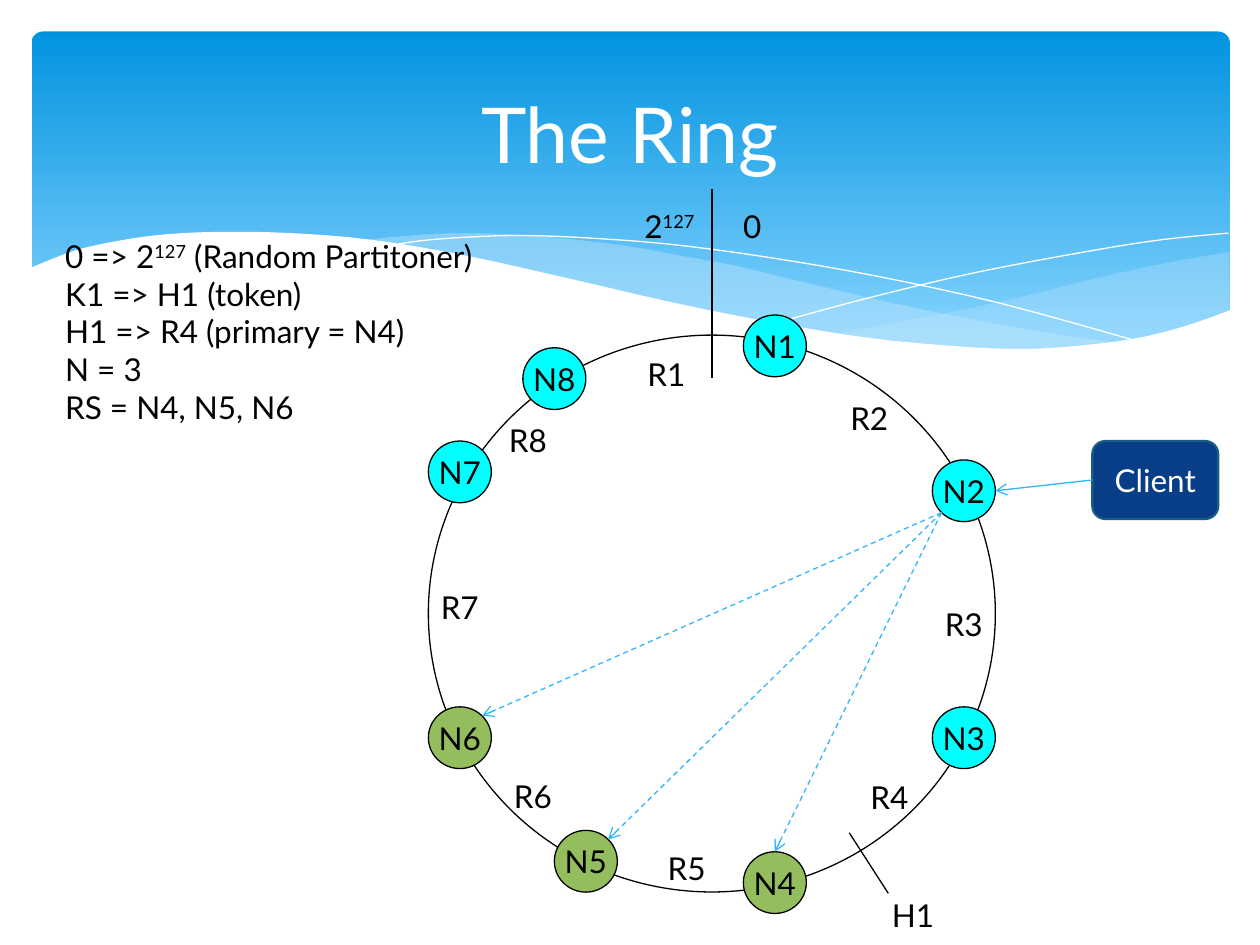
from math import cos, radians, sin

from lxml.etree import SubElement
from pptx import Presentation
from pptx.dml.color import RGBColor
from pptx.enum.dml import MSO_LINE
from pptx.enum.shapes import MSO_CONNECTOR, MSO_SHAPE
from pptx.enum.text import MSO_ANCHOR, PP_ALIGN
from pptx.oxml.ns import qn
from pptx.util import Pt

FONT = "Lato"
BLACK = RGBColor(0x00, 0x00, 0x00)
WHITE = RGBColor(0xFF, 0xFF, 0xFF)
BAND_TOP = RGBColor(0x02, 0x93, 0xE0)
BAND_END = RGBColor(0x83, 0xD3, 0xFE)
PALE = RGBColor(0xC6, 0xE7, 0xFC)
CYAN = RGBColor(0x00, 0xFF, 0xFF)
GREEN = RGBColor(0x94, 0xBD, 0x5E)
NAVY = RGBColor(0x07, 0x3E, 0x87)
NAVY_EDGE = RGBColor(0x19, 0x5F, 0x84)
SKY = RGBColor(0x31, 0xB6, 0xFD)

NODE_W, NODE_H = 36, 35.3
NODES = {
    "N1": (180, -11.5), "N2": (288, 71.3), "N3": (288, 212.4), "N4": (180, 295.2),
    "N5": (72, 283), "N6": (0, 212.4), "N7": (0, 60.5), "N8": (54, 7.2),
}
REPLICAS = {"N4": 45 + 45, "N5": 45, "N6": 45}
LABELS = {
    "R1": (118.1, 7.9), "R2": (234, 33.1), "R3": (288, 150.5), "R4": (245.5, 249.8),
    "R5": (129.6, 290.2), "R6": (41.8, 249.1), "R7": (0, 141.1), "R8": (38.9, 45.4),
    "H1": (257.8, 316.8), "2^127": (116.4, -77), "0": (172.8, -77),
}

RIGHT_WAVE = [
    [(684.5, 126), (655.2, 131), (623.5, 137.5), (601.9, 142.6), (561.6, 152.6),
     (524.2, 160.6), (490.3, 167), (457.9, 172.8)],
    [(457.9, 172.8), (489.6, 177.1), (518.4, 180), (560.2, 182.2), (596.9, 180.7),
     (627.8, 176.4), (655.2, 170.6), (684.5, 159.8)],
]
MIDDLE_WAVE = [
    [(625, 178.6), (584.6, 172.8), (540, 164.9), (490.3, 154.8), (434.9, 141.8),
     (402.5, 133.9), (371.5, 128.2), (334.1, 121.7), (284.4, 116.6), (241.9, 115.2),
     (207.4, 117.4), (187.9, 119.5)],
    [(187.9, 119.5), (228.2, 125.3), (272.9, 133.9), (305.3, 141.8), (363.6, 154.8),
     (414.7, 165.6), (460.8, 173.5), (501.8, 179.3), (547.2, 182.2), (585.4, 182.2),
     (625, 178.6)],
]
FALLING_LINE = [
    [(204.5, 122.4), (223.2, 119.5), (251.3, 117.4), (281.5, 116.6), (319.7, 118.1),
     (365.8, 121.7), (419.8, 128.9), (482.4, 139.7), (554.4, 155.5), (635, 177.8)],
]
RISING_LINE = [
    [(423.4, 167), (482.4, 151.2), (540.7, 137.5), (605.5, 125.3), (647.3, 118.8),
     (684, 115.2)],
]
WHITE_WAVE = [
    [(685.4, 159.1), (658.8, 168.5), (629.3, 175.7), (594, 180), (564.5, 181.4),
     (529.9, 180), (477.4, 175), (416.2, 164.9), (362.9, 154.1), (303.8, 140.4),
     (244.8, 127.4), (192.2, 118.8), (147.6, 115.2), (109.4, 114.5), (77, 115.9),
     (50.4, 119.5), (24.5, 125.3), (-1.4, 135.4)],
    [(-1.4, 218.9), (685.4, 218.9)],
]


def write(tf, text, size=18, color=BLACK, align=PP_ALIGN.LEFT, anchor=MSO_ANCHOR.TOP, wrap=False):
    tf.word_wrap = wrap
    tf.vertical_anchor = anchor
    for i, line in enumerate(text.split("\n")):
        p = tf.add_paragraph() if i else tf.paragraphs[0]
        p.alignment = align
        for j, part in enumerate(line.split("^")):
            r = p.add_run()
            r.text = part
            r.font.name, r.font.size, r.font.color.rgb = FONT, Pt(size), color
            if j % 2:
                r._r.get_or_add_rPr().set("baseline", "30000")


def paint(sp, fill=None, line=None, width=0.75, opacity=None):
    sp.shadow.inherit = False
    if fill is None:
        sp.fill.background()
    else:
        sp.fill.solid()
        sp.fill.fore_color.rgb = fill
    if opacity:
        clr = sp._element.spPr.find(".//" + qn("a:srgbClr"))
        SubElement(clr, qn("a:alpha")).set("val", str(opacity * 1000))
    if line is None:
        sp.line.fill.background()
    else:
        sp.line.color.rgb, sp.line.width = line, Pt(width)


def add_preset(s, kind, x, y, w, h, **style):
    sp = s.shapes.add_shape(kind, Pt(x), Pt(y), Pt(w), Pt(h))
    paint(sp, **style)
    return sp


def add_text(s, x, y, w, h, text, **style):
    write(s.shapes.add_textbox(Pt(x), Pt(y), Pt(w), Pt(h)).text_frame, text, **style)


def add_line(s, start, end, color=BLACK, width=0.75, dash=False, arrow=False):
    cx = s.shapes.add_connector(MSO_CONNECTOR.STRAIGHT, *map(Pt, (*start, *end)))
    cx.line.color.rgb, cx.line.width = color, Pt(width)
    if dash:
        cx.line.dash_style = MSO_LINE.DASH
    if arrow:
        SubElement(cx.line._get_or_add_ln(), qn("a:tailEnd")).set("type", "arrow")
    SubElement(cx._element.spPr, qn("a:effectLst"))


def smooth(knots, steps=4):
    padded = [knots[0], *knots, knots[-1]]
    points = [knots[0]]
    for a, b, c, d in zip(padded, padded[1:], padded[2:], padded[3:]):
        for t in (k / steps for k in range(1, steps + 1)):
            points.append(tuple(
                b[i] + 0.5 * t * (c[i] - a[i]
                                  + t * (2 * a[i] - 5 * b[i] + 4 * c[i] - d[i])
                                  + t * t * (3 * b[i] - a[i] - 3 * c[i] + d[i]))
                for i in (0, 1)))
    return points


def add_wave(s, x, y, chains, close=True, **style):
    points = [(Pt(x + px), Pt(y + py)) for chain in chains for px, py in smooth(chain)]
    builder = s.shapes.build_freeform(*points[0], scale=1.0)
    builder.add_line_segments(points[1:], close=close)
    paint(builder.convert_to_shape(), **style)


def add_header(s, x, y, w, h, text):
    band = add_preset(s, MSO_SHAPE.ROUNDED_RECTANGLE, x, y, w, h)
    band.adjustments[0] = 0.034
    band.fill.gradient()
    band.fill.gradient_angle = 270
    for stop, color, pos in zip(band.fill.gradient_stops, (BAND_TOP, BAND_END), (0, 0.9)):
        stop.color.rgb, stop.position = color, pos
    add_wave(s, x, y, RIGHT_WAVE, fill=PALE, opacity=29)
    add_wave(s, x, y, MIDDLE_WAVE, fill=PALE, opacity=40)
    for curve in (FALLING_LINE, RISING_LINE):
        add_wave(s, x, y, curve, close=False, line=WHITE, width=0)
    add_wave(s, x, y, WHITE_WAVE, fill=WHITE)
    title = s.shapes.title
    title.left, title.top, title.width, title.height = map(Pt, (x + 18, y + 8.6, 648, 98.6))
    write(title.text_frame, text, size=44, color=WHITE, align=PP_ALIGN.CENTER,
          anchor=MSO_ANCHOR.MIDDLE, wrap=True)
    title._element.getparent().append(title._element)


def add_ring(s, x, y, w, h):
    def rim(name, angle):
        nx, ny = NODES[name]
        a = radians(angle)
        return (x + nx + NODE_W / 2 * (1 + cos(a)), y + ny + NODE_H / 2 * (1 - sin(a)))

    add_preset(s, MSO_SHAPE.OVAL, x, y, w, h, line=BLACK)
    for name, (nx, ny) in NODES.items():
        node = add_preset(s, MSO_SHAPE.OVAL, x + nx, y + ny, NODE_W, NODE_H,
                          fill=GREEN if name in REPLICAS else CYAN, line=BLACK)
        write(node.text_frame, name, align=PP_ALIGN.CENTER, anchor=MSO_ANCHOR.MIDDLE)
    for text, (lx, ly) in LABELS.items():
        add_text(s, x + lx, y + ly, 54, 29.5, text)
    add_line(s, (x + w / 2, y - 83.5), (x + w / 2, y + 24.5), width=1.45)
    add_line(s, (x + 240.5, y + 284.4), (x + 262.8, y + 319))

    cx, cy, cw, ch = x + 379.4, y + 60.5, 72, 44.6
    client = add_preset(s, MSO_SHAPE.ROUNDED_RECTANGLE, cx, cy, cw, ch,
                        fill=NAVY, line=NAVY_EDGE, width=1.25)
    write(client.text_frame, "Client", color=WHITE, align=PP_ALIGN.CENTER,
          anchor=MSO_ANCHOR.MIDDLE, wrap=True)
    add_line(s, (cx, cy + ch / 2), rim("N2", 0), color=SKY, arrow=True)
    for name, angle in REPLICAS.items():
        add_line(s, rim("N2", 225), rim(name, angle), color=SKY, dash=True, arrow=True)


prs = Presentation()
prs.slide_width, prs.slide_height = Pt(720), Pt(540)
s = prs.slides.add_slide(prs.slide_layouts[5])
add_header(s, 18, 18, 684.7, 194.4, "The Ring")
add_text(s, 30.2, 131.8, 360, 138.2,
         "0 => 2^127^ (Random Partitoner)\nK1 => H1 (token)\nH1 => R4 (primary = N4)\n"
         "N = 3\nRS = N4, N5, N6", wrap=True)
add_ring(s, 244.8, 191.5, 324, 318.2)
prs.save("out.pptx")
